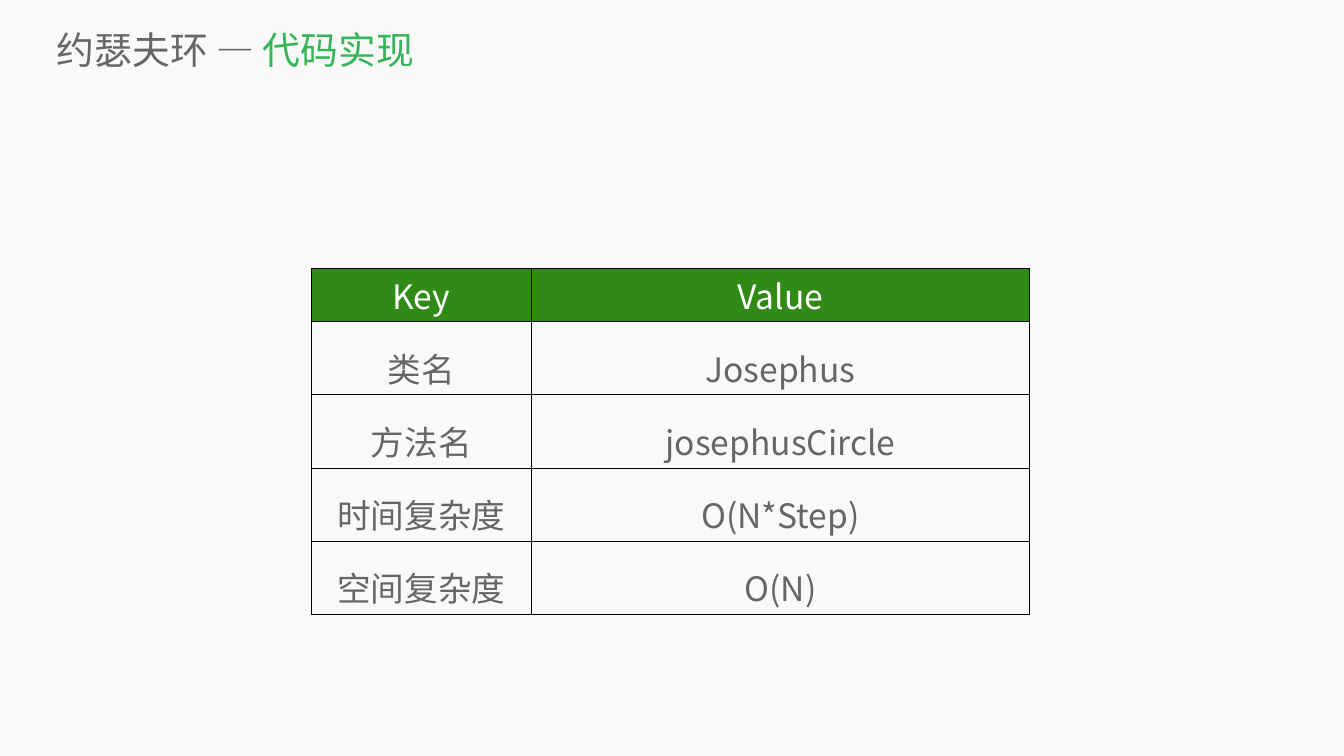
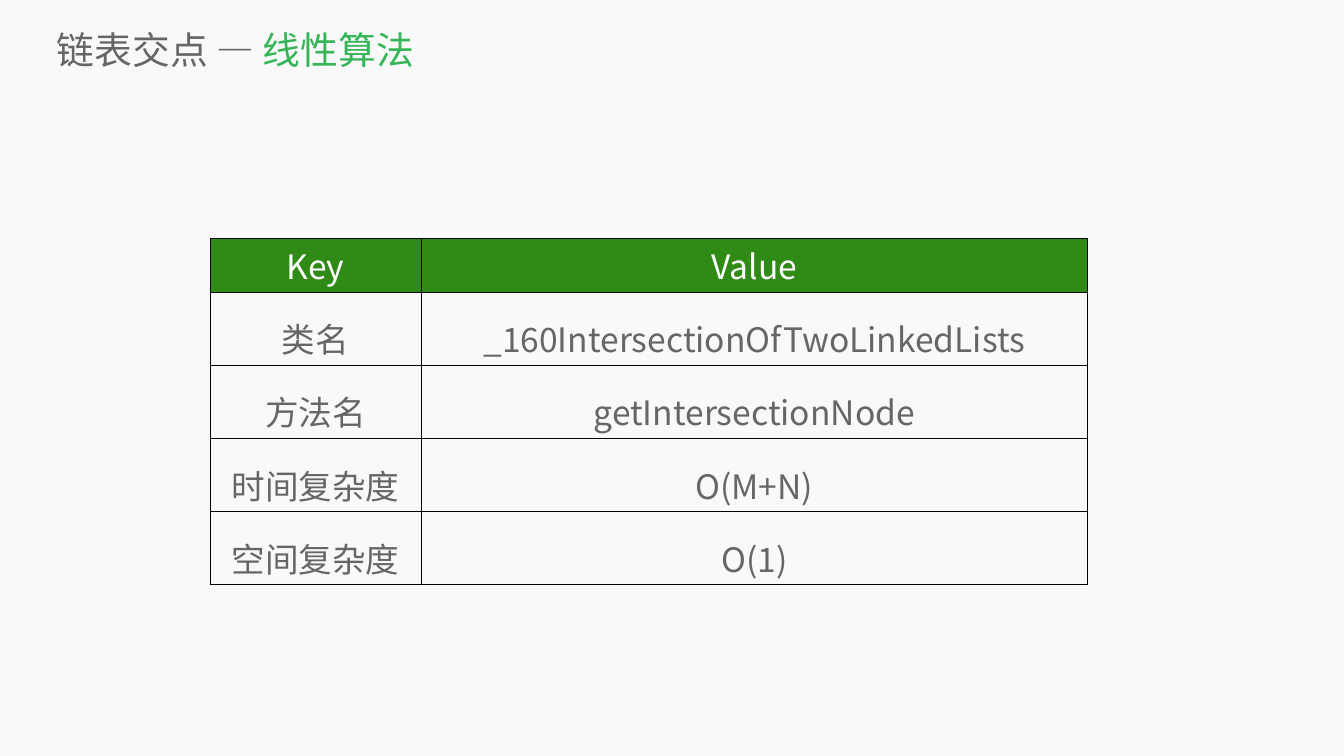
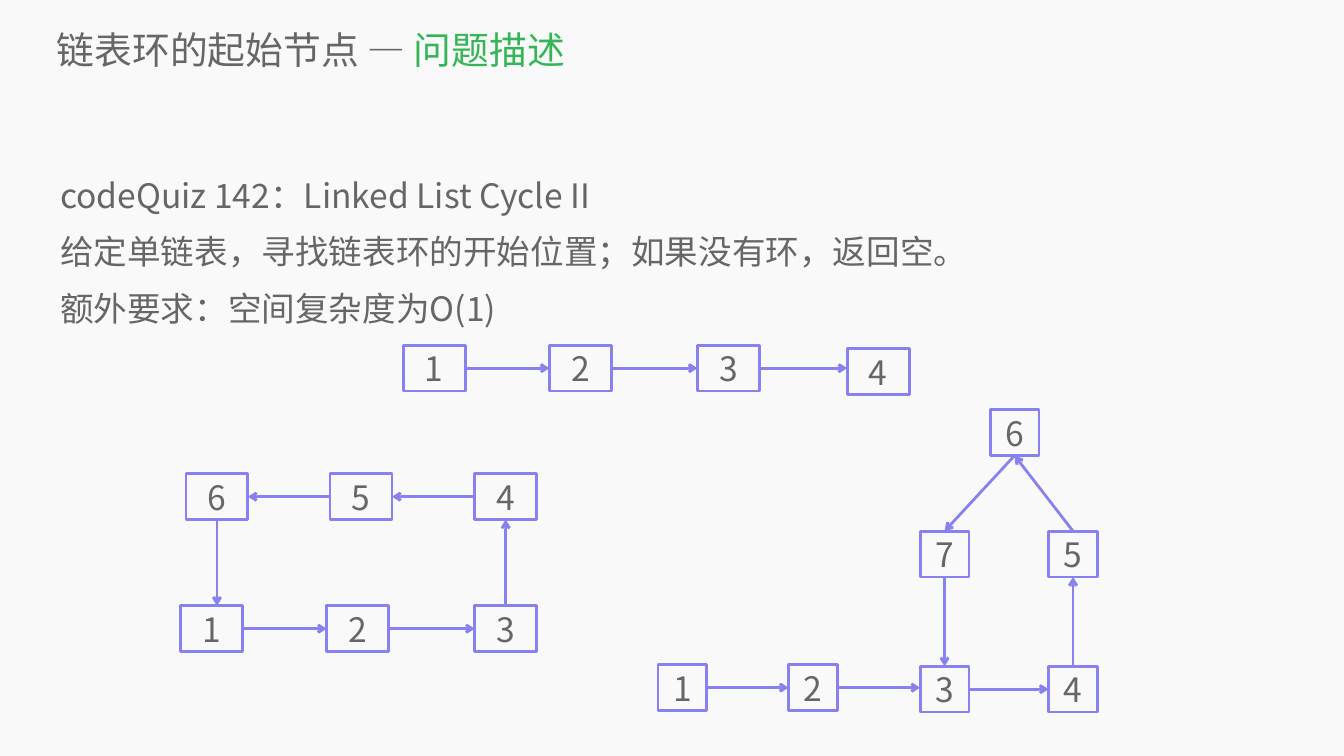
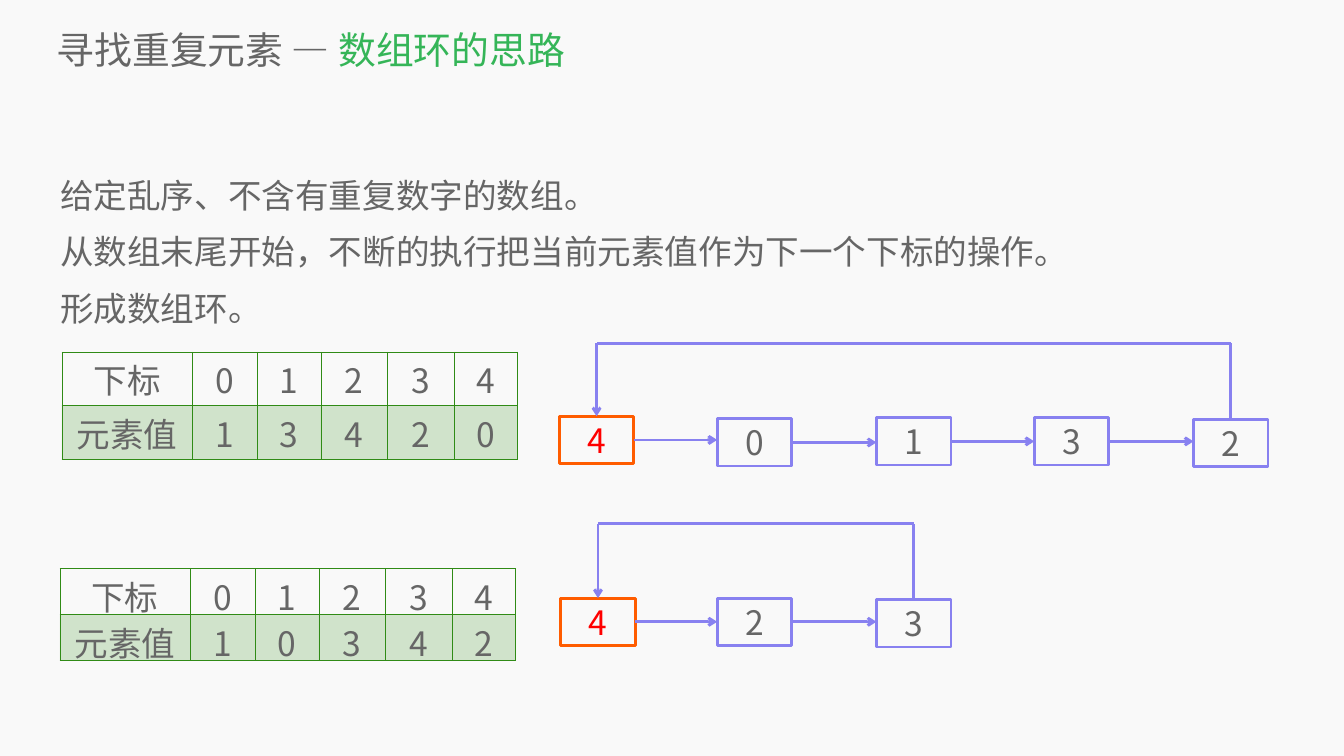
from itertools import pairwise

from lxml import etree
from pptx import Presentation
from pptx import util as u
from pptx.dml.color import RGBColor
from pptx.enum import shapes, text
from pptx.oxml import ns

Pt = u.Pt
BACKGROUND = RGBColor(0xF9, 0xF9, 0xF9)
GRAY = RGBColor(0x66, 0x66, 0x66)
TITLE_GREEN = RGBColor(0x35, 0xB5, 0x58)
TABLE_GREEN = RGBColor(0x30, 0x8B, 0x16)
PURPLE = RGBColor(0x88, 0x81, 0xF0)
ORANGE = RGBColor(0xFF, 0x5C, 0x00)
RED = RGBColor(0xFF, 0x00, 0x00)
WHITE = RGBColor(0xFF, 0xFF, 0xFF)
BLACK = RGBColor(0x00, 0x00, 0x00)

FONT = "Noto Sans CJK SC"
TITLE_BOX = (81, 34, 1811.5, 73.5)
BODY_BOX = (86, 226.5, 1748, 809)
TOP, LEFT, BOTTOM, RIGHT = range(4)
SNAP = 12
KEYS = ["类名", "方法名", "时间复杂度", "空间复杂度"]
ARRAY_WIDTHS = [186, 93, 91, 95, 96, 90]


def add_element(parent, tag, **attributes):
    return etree.SubElement(parent, ns.qn(tag), attributes)


def write(paragraph, content, size=48, color=GRAY, align=None, spacing=None):
    run = paragraph.add_run()
    run.text = content
    run.font.size = Pt(size)
    run.font.name = FONT
    run.font.color.rgb = color
    add_element(run.font._element, "a:ea", typeface=FONT)
    if align is not None:
        paragraph.alignment = align
    if spacing:
        paragraph.line_spacing = spacing


def clear_margins(frame):
    frame.word_wrap = True
    frame.margin_left = frame.margin_right = 0
    frame.margin_top = frame.margin_bottom = 0


def add_text_frame(slide, box):
    frame = slide.shapes.add_textbox(*map(Pt, box)).text_frame
    clear_margins(frame)
    return frame


def add_titled_slide(presentation, topic, section):
    slide = presentation.slides.add_slide(presentation.slide_layouts[6])
    frame = add_text_frame(slide, TITLE_BOX)
    frame.vertical_anchor = text.MSO_ANCHOR.MIDDLE
    write(frame.paragraphs[0], topic + " — ", size=54)
    write(frame.paragraphs[0], section, size=54, color=TITLE_GREEN)
    return slide


def add_body(slide, lines):
    frame = add_text_frame(slide, BODY_BOX)
    for index, line in enumerate(lines):
        paragraph = frame.add_paragraph() if index else frame.paragraphs[0]
        write(paragraph, line, spacing=1.4)


def set_borders(cell, color):
    properties = cell._tc.get_or_add_tcPr()
    for side in ("L", "R", "T", "B"):
        border = add_element(properties, "a:ln" + side, w=str(Pt(1)))
        fill = add_element(border, "a:solidFill")
        add_element(fill, "a:srgbClr", val=str(color))


def fill_cell(cell, color, opacity=100):
    if color is None:
        cell.fill.background()
        return
    cell.fill.solid()
    cell.fill.fore_color.rgb = color
    if opacity < 100:
        fill = cell._tc.tcPr.find(ns.qn("a:solidFill"))
        swatch = fill.find(ns.qn("a:srgbClr"))
        add_element(swatch, "a:alpha", val=str(opacity * 1000))


def add_grid(slide, origin, rows, widths, heights, border, style_cell):
    left, top = origin
    frame = slide.shapes.add_table(len(rows), len(widths), Pt(left), Pt(top),
                                   Pt(sum(widths)), Pt(sum(heights)))
    table = frame.table
    table.first_row = table.horz_banding = False
    for column, width in zip(table.columns, widths):
        column.width = Pt(width)
    for row, height in zip(table.rows, heights):
        row.height = Pt(height)
    for row_index, values in enumerate(rows):
        for column_index, value in enumerate(values):
            cell = table.cell(row_index, column_index)
            set_borders(cell, border)
            style_cell(cell, row_index, value)


def add_summary_table(slide, left, top, widths, values):
    def style_cell(cell, row, value):
        fill_cell(cell, None if row else TABLE_GREEN)
        write(cell.text_frame.paragraphs[0], value,
              color=GRAY if row else WHITE, align=text.PP_ALIGN.CENTER,
              spacing=1.4 if row else None)

    rows = [("Key", "Value"), *zip(KEYS, values)]
    add_grid(slide, (left, top), rows, widths, [76.5] + [104.5] * 4,
             BLACK, style_cell)


def add_array_table(slide, left, top, values, row_height):
    def style_cell(cell, row, value):
        fill_cell(cell, TABLE_GREEN if row else None, opacity=20)
        write(cell.text_frame.paragraphs[0], value,
              align=text.PP_ALIGN.CENTER)

    rows = [["下标", *"01234"], ["元素值", *values]]
    add_grid(slide, (left, top), rows, ARRAY_WIDTHS, [row_height] * 2,
             TABLE_GREEN, style_cell)


def add_node(slide, label, box, outline=PURPLE, color=GRAY):
    node = slide.shapes.add_shape(shapes.MSO_SHAPE.RECTANGLE, *map(Pt, box))
    node.shadow.inherit = False
    node.fill.background()
    node.line.color.rgb = outline
    node.line.width = Pt(4)
    clear_margins(node.text_frame)
    node.text_frame.vertical_anchor = text.MSO_ANCHOR.MIDDLE
    write(node.text_frame.paragraphs[0], label, color=color,
          align=text.PP_ALIGN.CENTER)
    return node


def side_middle(node, side):
    x_factor, y_factor = ((0.5, 0), (0, 0.5), (0.5, 1), (1, 0.5))[side]
    return (node.left + int(node.width * x_factor),
            node.top + int(node.height * y_factor))


def add_line(slide, start, end, arrow=True):
    connector = slide.shapes.add_connector(
        shapes.MSO_CONNECTOR.STRAIGHT, *start, *end)
    connector.line.color.rgb = PURPLE
    connector.line.width = Pt(4)
    if arrow:
        add_element(connector.line._ln, "a:tailEnd", type="arrow")
    add_element(connector._element.spPr, "a:effectLst")
    return connector


def link(slide, source, source_side, target, target_side):
    start = side_middle(source, source_side)
    goal = side_middle(target, target_side)
    end = tuple(first if abs(first - last) < Pt(SNAP) else last
                for first, last in zip(start, goal))
    connector = add_line(slide, start, end)
    connector.begin_connect(source, source_side)
    if end == goal:
        connector.end_connect(target, target_side)


def add_graph(slide, origin, width, positions, links):
    left, top = origin
    nodes = {label: add_node(slide, label, (left + x, top + y, width, 65.5))
             for label, (x, y) in positions.items()}
    for source, source_side, target, target_side in links:
        link(slide, nodes[source], source_side, nodes[target], target_side)


def add_ring(slide, origin, positions):
    left, top = origin
    nodes = []
    for label, (x, y) in positions.items():
        colors = {} if nodes else {"outline": ORANGE, "color": RED}
        box = (left + x, top + y, 106.5, 67.5)
        nodes.append(add_node(slide, label, box, **colors))
    for source, target in pairwise(nodes):
        link(slide, source, RIGHT, target, LEFT)
    first, last = side_middle(nodes[0], TOP), side_middle(nodes[-1], TOP)
    first_corner, last_corner = (first[0], Pt(top)), (last[0], Pt(top))
    rise = add_line(slide, last, last_corner, arrow=False)
    rise.begin_connect(nodes[-1], TOP)
    add_line(slide, last_corner, first_corner, arrow=False)
    drop = add_line(slide, first_corner, first)
    drop.end_connect(nodes[0], TOP)


def build_josephus(presentation):
    slide = add_titled_slide(presentation, "约瑟夫环", "代码实现")
    add_summary_table(slide, 444.5, 383, [315, 711],
                      ["Josephus", "josephusCircle", "O(N*Step)", "O(N)"])


def build_intersection(presentation):
    slide = add_titled_slide(presentation, "链表交点", "线性算法")
    add_summary_table(slide, 300, 340.5, [301.5, 952],
                      ["_160IntersectionOfTwoLinkedLists",
                       "getIntersectionNode", "O(M+N)", "O(1)"])


def build_cycle_start(presentation):
    slide = add_titled_slide(presentation, "链表环的起始节点", "问题描述")
    add_body(slide, ["codeQuiz 142：Linked List Cycle II",
                     "给定单链表，寻找链表环的开始位置；如果没有环，返回空。",
                     "额外要求：空间复杂度为O(1)"])
    chain = [(source, RIGHT, target, LEFT)
             for source, target in pairwise("1234")]
    add_graph(slide, (940, 585.3), 69.8,
              {"1": (0, 364.3), "2": (186.5, 364.3), "3": (374.5, 366.5),
               "4": (558, 366.5), "5": (558, 173.5), "6": (474.5, 0),
               "7": (374.5, 173.5)},
              chain + [("4", TOP, "5", BOTTOM), ("5", TOP, "6", BOTTOM),
                       ("6", BOTTOM, "7", TOP), ("7", BOTTOM, "3", TOP)])
    add_graph(slide, (576, 493.2), 88.5,
              {"1": (0, 0), "2": (209, 0), "3": (420.5, 0), "4": (634.3, 5)},
              chain)
    add_graph(slide, (257.7, 676.8), 88.5,
              {"1": (0, 188.6), "2": (209, 188.6), "3": (420.5, 188.6),
               "4": (420.5, 0), "5": (213.8, 0), "6": (8, 0)},
              chain[:2] + [("3", TOP, "4", BOTTOM), ("4", LEFT, "5", RIGHT),
                           ("5", LEFT, "6", RIGHT), ("6", BOTTOM, "1", TOP)])


def build_array_ring(presentation):
    slide = add_titled_slide(presentation, "寻找重复元素", "数组环的思路")
    add_body(slide, ["给定乱序、不含有重复数字的数组。",
                     "从数组末尾开始，不断的执行把当前元素值作为下一个下标的操作。",
                     "形成数组环。"])
    add_array_table(slide, 88.5, 503, "13420", 76.5)
    add_ring(slide, (799, 490.3),
             {"4": (0, 104.4), "0": (225.5, 108), "1": (453, 106.5),
              "3": (678.5, 106.5), "2": (906, 108.7)})
    add_array_table(slide, 85.5, 812.5, "10342", 65.5)
    add_ring(slide, (801, 748),
             {"4": (0, 106.5), "2": (223.5, 106.5), "3": (451, 108.8)})


def main():
    presentation = Presentation()
    presentation.slide_width = Pt(1920)
    presentation.slide_height = Pt(1080)
    background = presentation.slide_master.background.fill
    background.solid()
    background.fore_color.rgb = BACKGROUND
    for build in (build_josephus, build_intersection,
                  build_cycle_start, build_array_ring):
        build(presentation)
    presentation.save("out.pptx")


if __name__ == "__main__":
    main()
